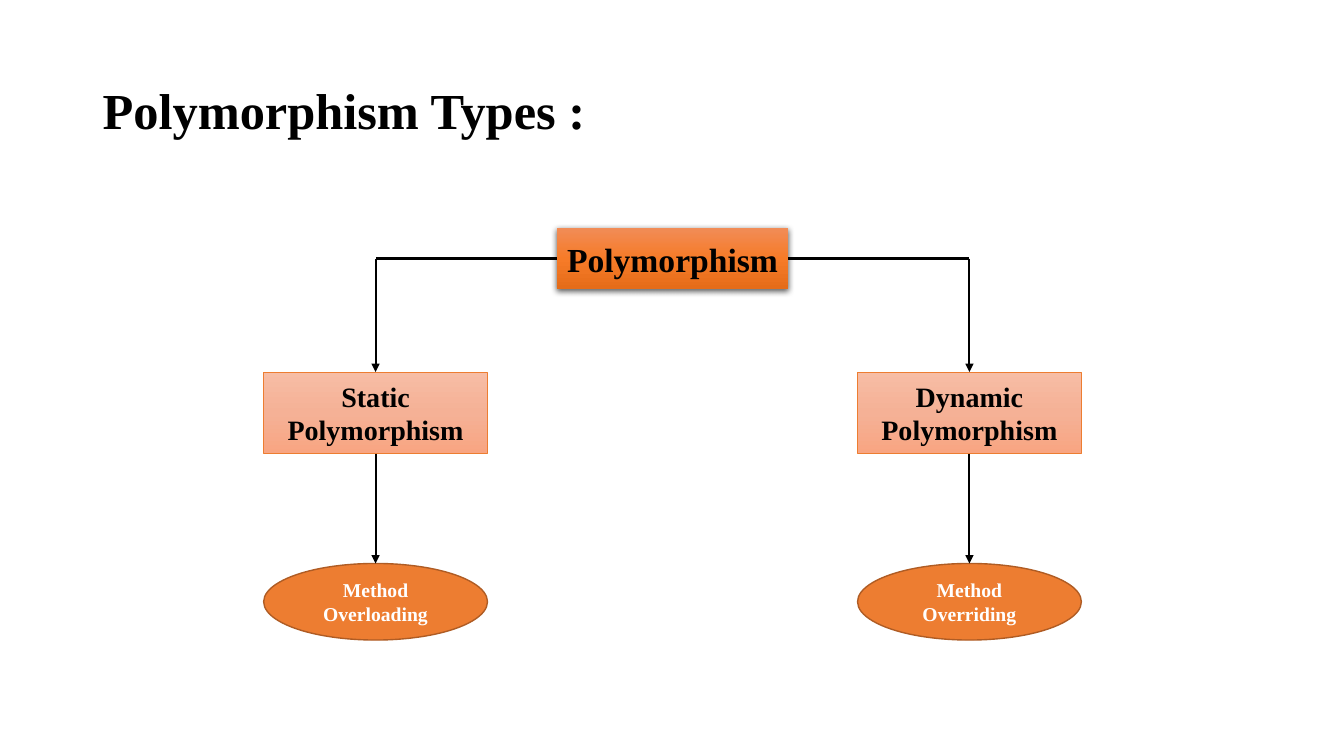
from lxml.etree import SubElement
from pptx import Presentation
from pptx.dml.color import RGBColor
from pptx.enum.shapes import MSO_CONNECTOR, MSO_SHAPE
from pptx.enum.text import MSO_ANCHOR, PP_ALIGN
from pptx.oxml.ns import qn
from pptx.util import Inches, Pt

# Content
TITLE = "Polymorphism Types :"
ROOT = "Polymorphism"
KINDS = [
    ("Static Polymorphism", "Method Overloading"),
    ("Dynamic Polymorphism", "Method Overriding"),
]

# Style
FONT = "Times New Roman"
BLACK, WHITE = "000000", "FFFFFF"
ORANGE, RUST = "ED7D31", "AF5C24"
DEEP = ["F18C57", "F67B28", "E56C19"]
PALE = ["F7BDA5", "F5B196", "F8A582"]

# Layout in inches
WIDE, HIGH = 13.33, 7.5
MID = WIDE / 2 + 0.005
SPREAD = 2.945
ROOT_W, ROOT_H, ROOT_Y = 2.3, 0.61, 2.26
KIND_W, KIND_H, KIND_Y = 2.22, 0.81, 3.69
OVAL_H, OVAL_Y = 0.76, 5.59

deck = Presentation()
deck.slide_width, deck.slide_height = Inches(WIDE), Inches(HIGH)
slide = deck.slides.add_slide(deck.slide_layouts[6])


def color(code):
    return RGBColor.from_string(code)


def write(shape, text, size, ink, align):
    frame = shape.text_frame
    frame.word_wrap = True
    frame.vertical_anchor = MSO_ANCHOR.MIDDLE
    para = frame.paragraphs[0]
    para.alignment = align
    run = para.add_run()
    run.text = text
    font = run.font
    font.name, font.size, font.bold = FONT, Pt(size), True
    font.color.rgb = color(ink)
    return para


def blend(shape, codes):
    """Fill a shape from top to bottom with evenly spaced colours."""
    shape.fill.gradient()
    shape.fill.gradient_angle = 270
    stops = shape._element.spPr.find(qn("a:gradFill")).find(qn("a:gsLst"))
    for stop in list(stops):
        stops.remove(stop)
    for i, code in enumerate(codes):
        place = 100000 * i // (len(codes) - 1)
        stop = SubElement(stops, qn("a:gs"), pos=str(place))
        SubElement(stop, qn("a:srgbClr"), val=code)


def node(form, text, mid, top, wide, high, fill, size, ink, edge=None, line=0):
    shape = slide.shapes.add_shape(
        form, Inches(mid - wide / 2), Inches(top), Inches(wide), Inches(high))
    if isinstance(fill, list):
        blend(shape, fill)
    else:
        shape.fill.solid()
        shape.fill.fore_color.rgb = color(fill)
    if edge:
        shape.line.color.rgb = color(edge)
        shape.line.width = Pt(line)
    else:
        shape.line.fill.background()
    shape.shadow.inherit = False
    write(shape, text, size, ink, PP_ALIGN.CENTER)
    return shape


def shade(shape):
    """Cast a soft shadow straight down."""
    effects = shape._element.spPr.find(qn("a:effectLst"))
    cast = SubElement(effects, qn("a:outerShdw"), blurRad=str(Pt(4.5)),
                      dist=str(Pt(1.5)), dir="5400000", algn="ctr",
                      rotWithShape="0")
    tint = SubElement(cast, qn("a:srgbClr"), val=BLACK)
    SubElement(tint, qn("a:alpha"), val="63000")


def link(x1, y1, x2, y2, arrow=True):
    wire = slide.shapes.add_connector(
        MSO_CONNECTOR.STRAIGHT, Inches(x1), Inches(y1), Inches(x2), Inches(y2))
    wire.line.color.rgb = color(BLACK)
    wire.line.width = Pt(1.5)
    if arrow:
        SubElement(wire.line._get_or_add_ln(), qn("a:tailEnd"), type="triangle")
    SubElement(wire._element.spPr, qn("a:effectLst"))


# Title
box = slide.shapes.add_textbox(Inches(0.92), Inches(0.4), Inches(11.5), Inches(1.45))
write(box, TITLE, 36, BLACK, PP_ALIGN.LEFT).line_spacing = 0.9

# Root
root = node(MSO_SHAPE.RECTANGLE, ROOT, MID, ROOT_Y, ROOT_W, ROOT_H,
            DEEP, 24, BLACK)
shade(root)

# Branches, left then right
bend = ROOT_Y + ROOT_H / 2
for side, (kind, means) in zip((-1, 1), KINDS):
    x = MID + side * SPREAD
    node(MSO_SHAPE.RECTANGLE, kind, x, KIND_Y, KIND_W, KIND_H,
         PALE, 20, BLACK, ORANGE, 0.5)
    node(MSO_SHAPE.OVAL, means, x, OVAL_Y, KIND_W, OVAL_H,
         ORANGE, 14, WHITE, RUST, 1)
    link(MID + side * ROOT_W / 2, bend, x, bend, arrow=False)
    link(x, bend, x, KIND_Y)
    link(x, KIND_Y + KIND_H, x, OVAL_Y)

deck.save("out.pptx")
